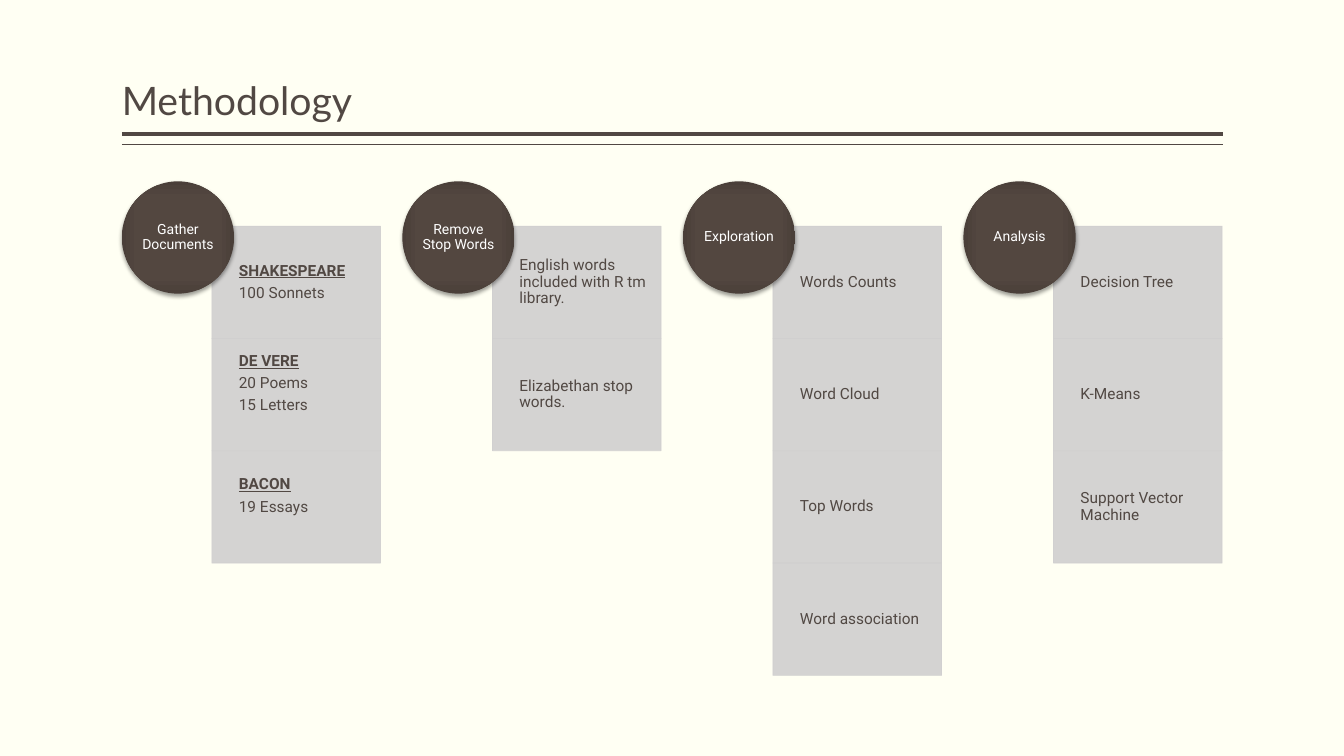
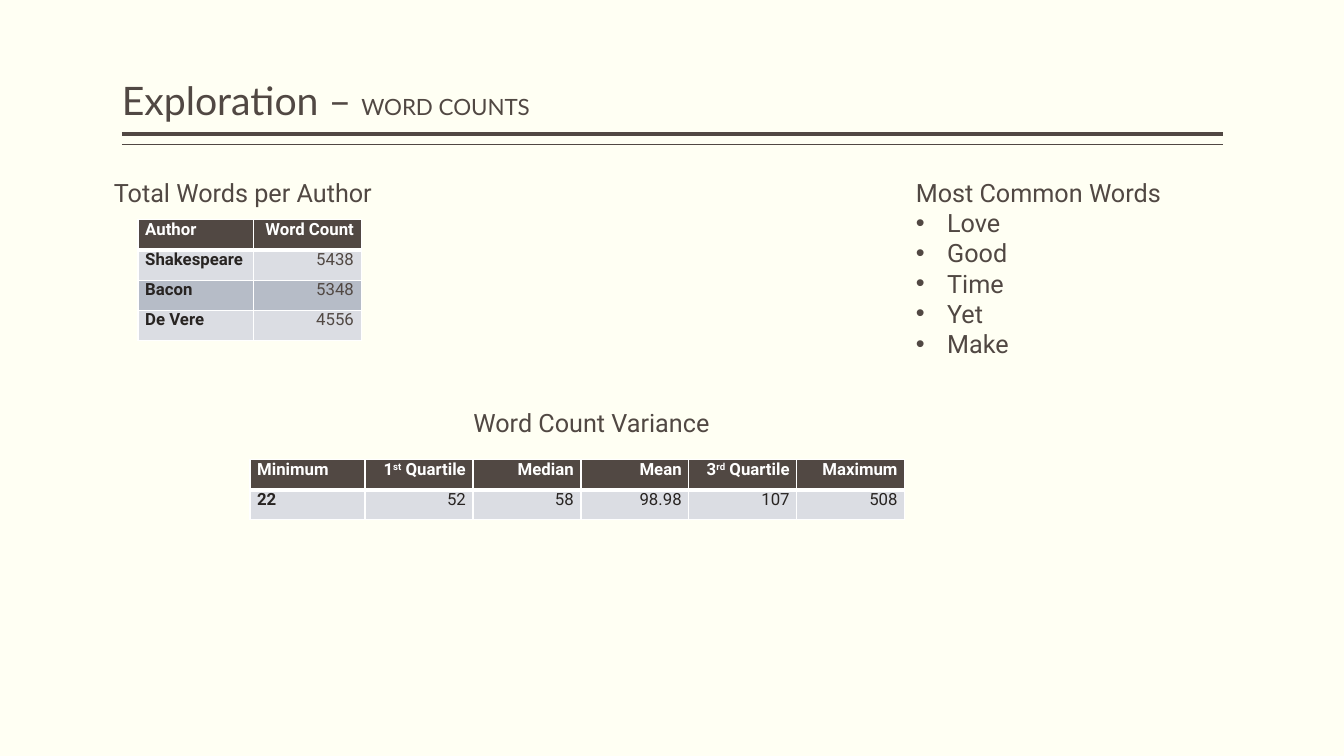
import pptx
import pptx.util
import pptx.dml.color
import pptx.enum.shapes
import pptx.enum.text
import pptx.oxml
import pptx.oxml.ns

Cm, Pt = pptx.util.Cm, pptx.util.Pt
qn = pptx.oxml.ns.qn
SHAPE = pptx.enum.shapes.MSO_SHAPE
ALIGN = pptx.enum.text.PP_ALIGN
ANCHOR = pptx.enum.text.MSO_ANCHOR

CREAM, BROWN, DARK, WHITE = "FFFFF3", "514843", "282422", "FFFFFF"
CARD, BAND_LIGHT, BAND_DARK = "D0CFCF", "DBDDE3", "B6BCC7"

LEFT, WIDTH = 3.07, 27.74
RULES = [(3.38, 3), (3.64, 1)]  # top in cm, weight in points

TITLE = dict(name="Lato", size=Pt(28), color=BROWN)
SUBTITLE = dict(TITLE, size=Pt(16))
LABEL = dict(name="Roboto", size=Pt(10), color=WHITE)
ITEM = dict(name="Roboto", size=Pt(11), color=BROWN)
ITEM_HEAD = dict(ITEM, bold=True, underline=True)
BODY = dict(name="Roboto", size=Pt(18), color=BROWN)
CELL = dict(name="Roboto", size=Pt(12), color=BROWN, bold=False)
CELL_HEAD = dict(CELL, color=WHITE, bold=True)
CELL_FIRST = dict(CELL, color=DARK, bold=True)

# Each card is a list of lines and the extra room left below them, in cm
STAGES = [
    ("Gather Documents", [(["SHAKESPEARE", "100 Sonnets"], 0),
                          (["DE VERE", "20 Poems", "15 Letters"], 0.55),
                          (["BACON", "19 Essays"], 0.55)]),
    ("Remove Stop Words", [(["English words included with R tm library."], 0),
                           (["Elizabethan stop words."], 0)]),
    ("Exploration", [(["Words Counts"], 0), (["Word Cloud"], 0),
                     (["Top Words"], 0), (["Word association"], 0)]),
    ("Analysis", [(["Decision Tree"], 0), (["K-Means"], 0),
                  (["Support Vector Machine"], 0)]),
]
STAGE_STEP, STAGE_TOP, CIRCLE = 7.07, 4.57, 2.83
CARD_DX, CARD_TOP, CARD_W, CARD_H = 2.27, 5.7, 4.25, 2.83

# Text between carets is superscript
TABLES = [
    (3.48, 5.54, BROWN, [["Author", "Word Count"],
                         ["Shakespeare", "5438"],
                         ["Bacon", "5348"],
                         ["De Vere", "4556"]]),
    (6.3, 11.58, DARK, [["Minimum", "1^st^ Quartile", "Median", "Mean",
                         "3^rd^ Quartile", "Maximum"],
                        ["22", "52", "58", "98.98", "107", "508"]]),
]
FIRST_COL, OTHER_COL, ROW_H = 2.9, 2.72, 0.76

HEADINGS = [
    (11.68, 10.13, "Word Count Variance", []),
    (2.62, 4.34, "Total Words per Author", []),
    (22.83, 4.34, "Most Common Words", ["Love", "Good", "Time", "Yet", "Make"]),
]

CIRCLE_FILL = [(0, "544740"), (71, "534740"), (100, "4A3F39")]


def rgb(value):
    return pptx.dml.color.RGBColor.from_string(value)


def xml(text):
    """Parse one element whose prefix is a:."""
    head, sep, rest = text.partition(" ")
    return pptx.oxml.parse_xml(f"{head} {pptx.oxml.ns.nsdecls('a')} {rest}")


def set_attrs(obj, **values):
    for key, value in values.items():
        setattr(obj, key, value)


def set_insets(obj, left, top, right, bottom):
    set_attrs(obj, margin_left=Cm(left), margin_top=Cm(top),
              margin_right=Cm(right), margin_bottom=Cm(bottom))


def add_run(p, text, style):
    r = p.add_run()
    r.text = text
    for key, value in style.items():
        if key == "color":
            r.font.color.rgb = rgb(value)
        else:
            setattr(r.font, key, value)
    return r


def add_lines(tf, lines, **para):
    """Fill a text frame with (text, style) paragraphs."""
    for i, (text, style) in enumerate(lines):
        p = tf.add_paragraph() if i else tf.paragraphs[0]
        set_attrs(p, **para)
        add_run(p, text, style)


def add_textbox(slide, x, y, w, h):
    tf = slide.shapes.add_textbox(Cm(x), Cm(y), Cm(w), Cm(h)).text_frame
    tf.word_wrap = True
    return tf


def add_slide(prs, *title_runs):
    """Add a slide with the shared background, double rule and title."""
    slide = prs.slides.add_slide(prs.slide_layouts[6])
    fill = slide.background.fill
    fill.solid()
    fill.fore_color.rgb = rgb(CREAM)
    for y, weight in RULES:
        rule = slide.shapes.add_connector(
            pptx.enum.shapes.MSO_CONNECTOR.STRAIGHT,
            Cm(LEFT), Cm(y), Cm(LEFT + WIDTH), Cm(y))
        rule.line.color.rgb = rgb(BROWN)
        rule.line.width = Pt(weight)
        rule._element.spPr.append(xml("<a:effectLst />"))
    tf = add_textbox(slide, LEFT, 0.2, WIDTH, 3.05)
    tf.vertical_anchor = ANCHOR.BOTTOM
    set_insets(tf, 0, 0.13, 0, 0.13)
    p = tf.paragraphs[0]
    p.line_spacing = 0.9
    for text, style in title_runs:
        add_run(p, text, style)
    return slide


def add_shape(slide, kind, x, y, w, h):
    sp = slide.shapes.add_shape(kind, Cm(x), Cm(y), Cm(w), Cm(h))
    sp.shadow.inherit = False
    set_attrs(sp.text_frame, word_wrap=True, vertical_anchor=ANCHOR.MIDDLE)
    return sp


def add_card(slide, x, y, lines, room_below):
    sp = add_shape(slide, SHAPE.RECTANGLE, x, y, CARD_W, CARD_H)
    sp.fill.solid()
    sp.fill.fore_color.rgb = rgb(CARD)
    sp.line.color.rgb = rgb(CARD)
    sp.line.width = Pt(0.5)
    for color in sp._element.spPr.iter(qn("a:srgbClr")):
        color.append(xml('<a:alpha val="90000"/>'))
    set_insets(sp.text_frame, 0.68, 0.23, 0.23, 0.23 + room_below)
    styles = [ITEM_HEAD if len(lines) > 1 else ITEM] + [ITEM] * (len(lines) - 1)
    add_lines(sp.text_frame, zip(lines, styles), alignment=ALIGN.LEFT,
              line_spacing=0.9, space_after=Pt(4))


def add_circle(slide, x, label):
    """Add a stage circle with a soft gradient and a drop shadow."""
    sp = add_shape(slide, SHAPE.OVAL, x, STAGE_TOP, CIRCLE, CIRCLE)
    sp.line.fill.background()
    stops = "".join(f'<a:gs pos="{pos * 1000}"><a:srgbClr val="{color}"/></a:gs>'
                    for pos, color in CIRCLE_FILL)
    sp_pr = sp._element.spPr
    sp_pr.find(qn("a:prstGeom")).addnext(xml(
        f'<a:gradFill rotWithShape="1"><a:gsLst>{stops}</a:gsLst><a:path path="rect">'
        '<a:fillToRect l="50000" t="50000" r="50000" b="50000"/></a:path></a:gradFill>'))
    sp_pr.find(qn("a:effectLst")).append(xml(
        f'<a:outerShdw blurRad="{Pt(3.1)}" dist="{Pt(2)}" dir="5400000" rotWithShape="0">'
        '<a:srgbClr val="000000"><a:alpha val="38000"/></a:srgbClr></a:outerShdw>'))
    set_insets(sp.text_frame, 0, 0, 0, 0)
    add_lines(sp.text_frame, [(label, LABEL)], alignment=ALIGN.CENTER, line_spacing=0.9)


def set_borders(cell, row):
    """Draw white borders, thick between the header and the first body row."""
    thick = {0: "B", 1: "T"}.get(row)
    tc_pr = cell._tc.get_or_add_tcPr()
    for i, side in enumerate("LRTB"):
        width = Pt(3 if side == thick else 1)
        tc_pr.insert(i, xml(f'<a:ln{side} w="{width}"><a:solidFill>'
                            f'<a:srgbClr val="{WHITE}"/></a:solidFill></a:ln{side}>'))


def add_data_table(slide, x, y, value_color, rows):
    widths = [FIRST_COL] + [OTHER_COL] * (len(rows[0]) - 1)
    table = slide.shapes.add_table(len(rows), len(widths), Cm(x), Cm(y),
                                   Cm(sum(widths)), Cm(ROW_H * len(rows))).table
    for column, width in zip(table.columns, widths):
        column.width = Cm(width)
    for i, row in enumerate(rows):
        band = BROWN if i == 0 else BAND_LIGHT if i % 2 else BAND_DARK
        for j, text in enumerate(row):
            cell = table.cell(i, j)
            cell.fill.solid()
            cell.fill.fore_color.rgb = rgb(band)
            set_borders(cell, i)
            set_insets(cell, 0.18, 0, 0.18, 0)
            style = (CELL_HEAD if i == 0 else CELL_FIRST if j == 0
                     else dict(CELL, color=value_color))
            p = cell.text_frame.paragraphs[0]
            p.alignment = ALIGN.RIGHT if j else ALIGN.LEFT
            for k, part in enumerate(text.split("^")):
                r = add_run(p, part, style)
                if k % 2:
                    r._r.get_or_add_rPr().set("baseline", "30000")


def add_heading(slide, x, y, heading, bullets):
    tf = add_textbox(slide, x, y, 11, 1.02 + 0.77 * len(bullets))
    add_lines(tf, [(text, BODY) for text in [heading] + bullets])
    for p in tf.paragraphs[1:]:
        p_pr = p._p.get_or_add_pPr()
        p_pr.set("marL", str(Cm(0.79)))
        p_pr.set("indent", str(-Cm(0.79)))
        p_pr.append(xml('<a:buFont typeface="Arial"/>'))
        p_pr.append(xml('<a:buChar char="•"/>'))


def main():
    prs = pptx.Presentation()
    set_attrs(prs, slide_width=Cm(33.87), slide_height=Cm(19.05))

    slide = add_slide(prs, ("Methodology", TITLE))
    for i, (label, cards) in enumerate(STAGES):
        x = LEFT + i * STAGE_STEP
        for j, (lines, room_below) in enumerate(cards):
            add_card(slide, x + CARD_DX, CARD_TOP + j * CARD_H, lines, room_below)
        add_circle(slide, x, label)

    slide = add_slide(prs, ("Exploration – ", TITLE), ("WORD COUNTS", SUBTITLE))
    for table in TABLES:
        add_data_table(slide, *table)
    for heading in HEADINGS:
        add_heading(slide, *heading)

    prs.save("out.pptx")


if __name__ == "__main__":
    main()
